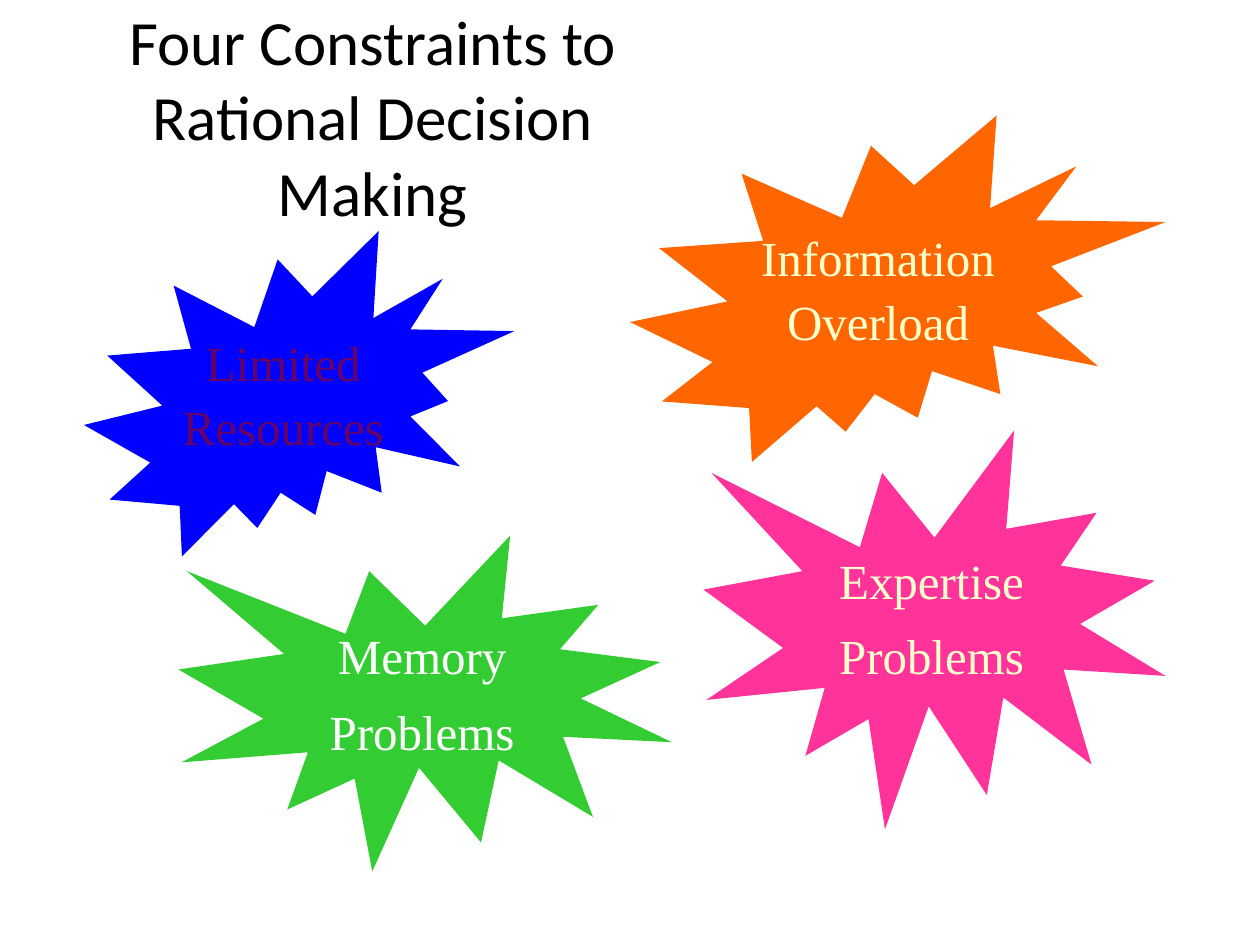
from dataclasses import dataclass

from pptx import Presentation
from pptx.dml.color import RGBColor
from pptx.enum.shapes import MSO_SHAPE as Shape
from pptx.enum.text import MSO_ANCHOR as Anchor, PP_ALIGN as Align
from pptx.util import Pt


@dataclass(frozen=True)
class Theme:
    title_font: str = "Calibri"
    label_font: str = "Times New Roman"
    title_size: float = 36
    label_size: float = 28
    label_gap: float = 9.6
    black: str = "000000"
    white: str = "FFFFFF"
    cream: str = "FFFFCC"
    purple: str = "660066"
    blue: str = "0000FF"
    orange: str = "FF6600"
    green: str = "33CC33"
    pink: str = "FF3399"


THEME = Theme()


def style_paragraph(p, font, size, color):
    p.alignment = Align.CENTER
    for r in p.runs:
        r.font.name = font
        r.font.size = Pt(size)
        r.font.color.rgb = RGBColor.from_string(color)


def add_title(slide, box, text):
    tf = slide.shapes.add_textbox(*map(Pt, box)).text_frame
    tf.word_wrap = True
    tf.vertical_anchor = Anchor.MIDDLE
    tf.text = text
    style_paragraph(tf.paragraphs[0], THEME.title_font, THEME.title_size, THEME.black)


def add_burst(slide, box, kind, fill, color, text, line_spacing):
    sp = slide.shapes.add_shape(kind, *map(Pt, box))
    sp.shadow.inherit = False
    sp.fill.solid()
    sp.fill.fore_color.rgb = RGBColor.from_string(fill)
    sp.line.fill.background()
    tf = sp.text_frame
    tf.word_wrap = False
    tf.vertical_anchor = Anchor.MIDDLE
    tf.text = text
    for p in tf.paragraphs:
        p.line_spacing = line_spacing
        p.space_before = Pt(THEME.label_gap)
        style_paragraph(p, THEME.label_font, THEME.label_size, color)


def main():
    prs = Presentation()
    prs.slide_width, prs.slide_height = Pt(720), Pt(540)
    slide = prs.slides.add_slide(prs.slide_layouts[6])
    add_title(slide, (24, 24, 378, 84), "Four Constraints to Rational Decision Making")

    constraints = [
        ((48, 132, 246, 186), Shape.EXPLOSION2, THEME.blue, THEME.purple,
         "Limited\nResources", 0.8),
        ((360, 66, 306, 198), Shape.EXPLOSION2, THEME.orange, THEME.cream,
         "Information\nOverload", 0.8),
        ((102, 306, 282, 192), Shape.EXPLOSION1, THEME.green, THEME.white,
         "Memory\nProblems", 1.0),
        ((402, 246, 264, 228), Shape.EXPLOSION1, THEME.pink, THEME.cream,
         "Expertise\nProblems", 1.0),
    ]
    for constraint in constraints:
        add_burst(slide, *constraint)
    prs.save("out.pptx")


if __name__ == "__main__":
    main()
